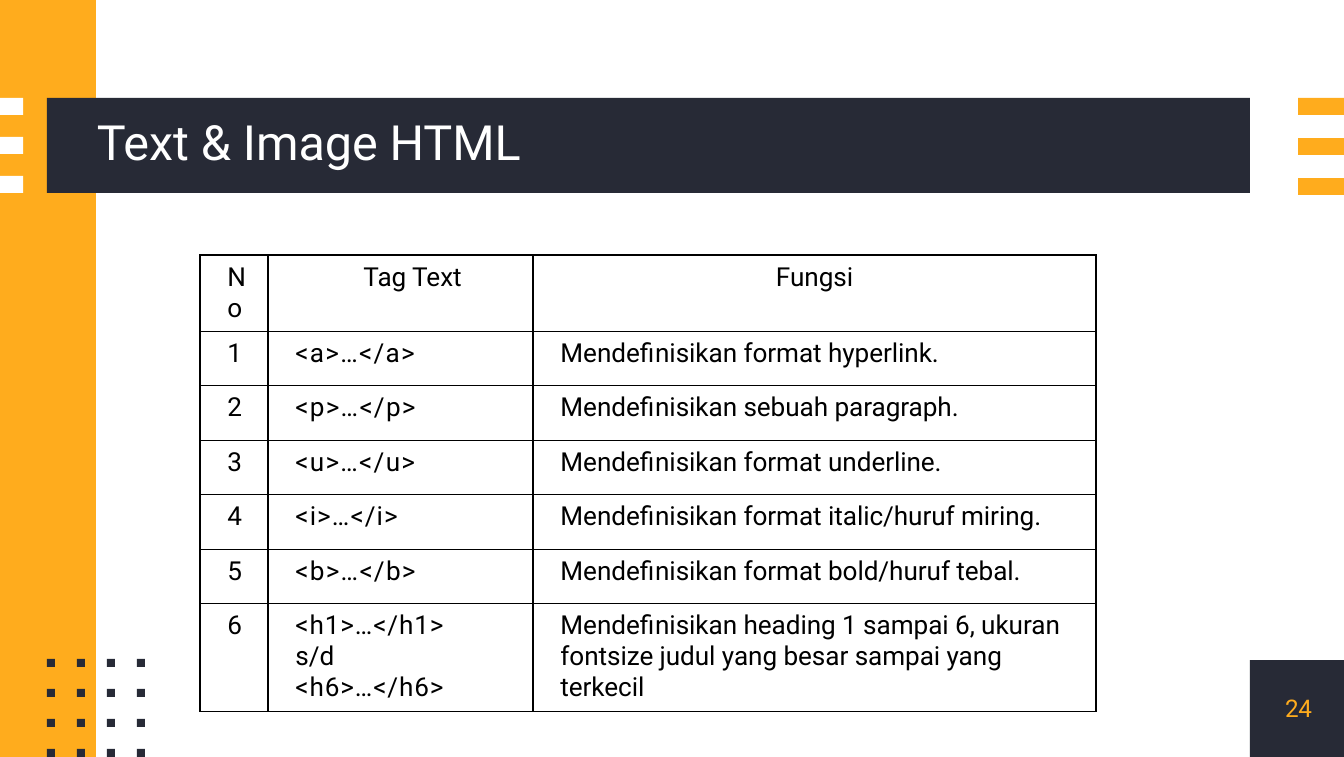
from lxml.etree import SubElement
from pptx import Presentation
from pptx.dml.color import RGBColor
from pptx.enum.shapes import MSO_SHAPE
from pptx.enum.text import MSO_ANCHOR, PP_ALIGN
from pptx.oxml.ns import qn
from pptx.util import Emu, Pt

SCALE = 914400 / 134.4
NAVY = RGBColor(0x27, 0x2A, 0x36)
AMBER = RGBColor(0xFF, 0xAC, 0x1D)
WHITE = RGBColor(0xFF, 0xFF, 0xFF)
BLACK = RGBColor(0, 0, 0)
FONT = "Roboto"

COLUMN_WIDTHS = (68, 265, 563)
ROW_HEIGHTS = (74, 54, 55, 54, 55, 54, 108)
HEADER = ("No", "Tag Text", "Fungsi")
TAGS = [
    (("<a>…</a>",), ("Mendefinisikan format hyperlink.",)),
    (("<p>…</p>",), ("Mendefinisikan sebuah paragraph.",)),
    (("<u>…</u>",), ("Mendefinisikan format underline.",)),
    (("<i>…</i>",), ("Mendefinisikan format italic/huruf miring.",)),
    (("<b>…</b>",), ("Mendefinisikan format bold/huruf tebal.",)),
    (("<h1>…</h1>", "s/d", "<h6>…</h6>"),
     ("Mendefinisikan heading 1 sampai 6, ukuran",
      "fontsize judul yang besar sampai yang terkecil")),
]
TIGHT = -0.05
TAG_SPACING = {"<h": 0.45, "<i": 0.57}


def px(length):
    return Emu(round(length * SCALE))


def set_all(target, values):
    for name, value in values.items():
        setattr(target, name, value)


def place(shape, box):
    set_all(shape, dict(zip(("left", "top", "width", "height"), map(px, box))))


def paint(shape, color):
    shape.fill.solid()
    shape.fill.fore_color.rgb = color
    shape.line.fill.background()
    shape.shadow.inherit = False


def add_block(slide, box, color):
    paint(slide.shapes.add_shape(MSO_SHAPE.RECTANGLE, *map(px, box)), color)


def add_block_group(slide, boxes, color):
    """Draw several rectangles as contours of one outline."""
    builder = None
    for left, top, width, height in boxes:
        if builder is None:
            builder = slide.shapes.build_freeform(left, top, scale=SCALE)
        else:
            builder.move_to(left, top)
        right, bottom = left + width, top + height
        builder.add_line_segments([(right, top), (right, bottom), (left, bottom)])
    paint(builder.convert_to_shape(), color)


def write(paragraph, text, size, color, spacing=0, indent=0, align=PP_ALIGN.LEFT):
    run = paragraph.add_run()
    run.text = text
    set_all(run.font, {"name": FONT, "size": Pt(size), "bold": False})
    run.font.color.rgb = color
    run.font._element.set("spc", str(round(spacing * 100)))
    set_all(paragraph, {"alignment": align, "space_before": Pt(0)})
    properties = paragraph._p.get_or_add_pPr()
    properties.set("marL", str(px(indent)))
    properties.set("indent", "0")


def format_frame(frame, top=0):
    set_all(frame, {"margin_left": 0, "margin_right": 0, "margin_top": px(top),
                    "margin_bottom": 0, "word_wrap": True,
                    "vertical_anchor": MSO_ANCHOR.TOP})


def add_decoration(slide, width, height):
    add_block(slide, (width - 94, 660, 94, height - 660), NAVY)
    add_block(slide, (0, 0, 96, height), AMBER)
    add_block(slide, (47, 98, 1203, 95), NAVY)
    # White stripes cut into the left band
    add_block_group(slide, [(0, 98 + 39 * i, 23, 17) for i in range(3)], WHITE)
    # Dot grid
    add_block_group(slide, [(47 + 30 * column, 659 + 30 * row, 8, 8)
                            for column in range(4) for row in range(4)], NAVY)
    # Amber stripes on the right
    for i in range(3):
        add_block(slide, (width - 46, 98 + 40 * i, 46, 17), AMBER)


def add_title(slide, box):
    title = slide.shapes.title
    slide.shapes._spTree.append(title._element)  # bring in front of the bar
    place(title, box)
    format_frame(title.text_frame, top=2)
    write(title.text_frame.paragraphs[0], "Text & Image HTML", 26, WHITE, TIGHT, 1)


def add_page_number(slide, box):
    frame = slide.shapes.add_textbox(*map(px, box)).text_frame
    format_frame(frame)
    paragraph = frame.paragraphs[0]
    write(paragraph, "24", 13, AMBER, TIGHT, 8)
    paragraph.line_spacing = Pt(15.4)


def add_borders(cell):
    properties = cell._tc.get_or_add_tcPr()
    for side in ("lnL", "lnR", "lnT", "lnB"):
        line = SubElement(properties, qn(f"a:{side}"), w=str(Pt(0.75)))
        fill = SubElement(line, qn("a:solidFill"))
        SubElement(fill, qn("a:srgbClr"), val=str(BLACK))


def letter_spacing(text):
    """Tags are spaced out, plain words are slightly tightened."""
    if text.startswith("<"):
        return TAG_SPACING.get(text[:2], 0.65)
    return 0 if text.isdigit() else TIGHT


def fill_cell(cell, lines, **text_format):
    add_borders(cell)
    cell.fill.background()
    frame = cell.text_frame
    for i, line in enumerate(lines):
        paragraph = frame.add_paragraph() if i else frame.paragraphs[0]
        write(paragraph, line, 14, BLACK, letter_spacing(line), **text_format)


def add_tag_table(slide, left, top):
    box = (left, top, sum(COLUMN_WIDTHS), sum(ROW_HEIGHTS))
    table = slide.shapes.add_table(len(ROW_HEIGHTS), len(COLUMN_WIDTHS),
                                   *map(px, box)).table
    set_all(table, {"first_row": False, "horz_banding": False})
    for column, width in zip(table.columns, COLUMN_WIDTHS):
        column.width = px(width)
    for row, height in zip(table.rows, ROW_HEIGHTS):
        row.height = px(height)
    # Header row
    header_formats = ({"indent": 14}, {"indent": 82}, {"align": PP_ALIGN.CENTER})
    for column, text in enumerate(HEADER):
        fill_cell(table.cell(0, column), (text,), **header_formats[column])
    # Numbered tags
    for number, (tag, purpose) in enumerate(TAGS, 1):
        for column, lines in enumerate(((str(number),), tag, purpose)):
            fill_cell(table.cell(number, column), lines, indent=14)


def main():
    width, height = 1344, 757
    presentation = Presentation()
    set_all(presentation, {"slide_width": px(width), "slide_height": px(height)})
    slide = presentation.slides.add_slide(presentation.slide_layouts[5])
    add_decoration(slide, width, height)
    add_title(slide, (96, 110, 543, 128))
    add_page_number(slide, (1277, 694, 41, 40))
    add_tag_table(slide, 200, 255)
    presentation.save("out.pptx")


if __name__ == "__main__":
    main()
